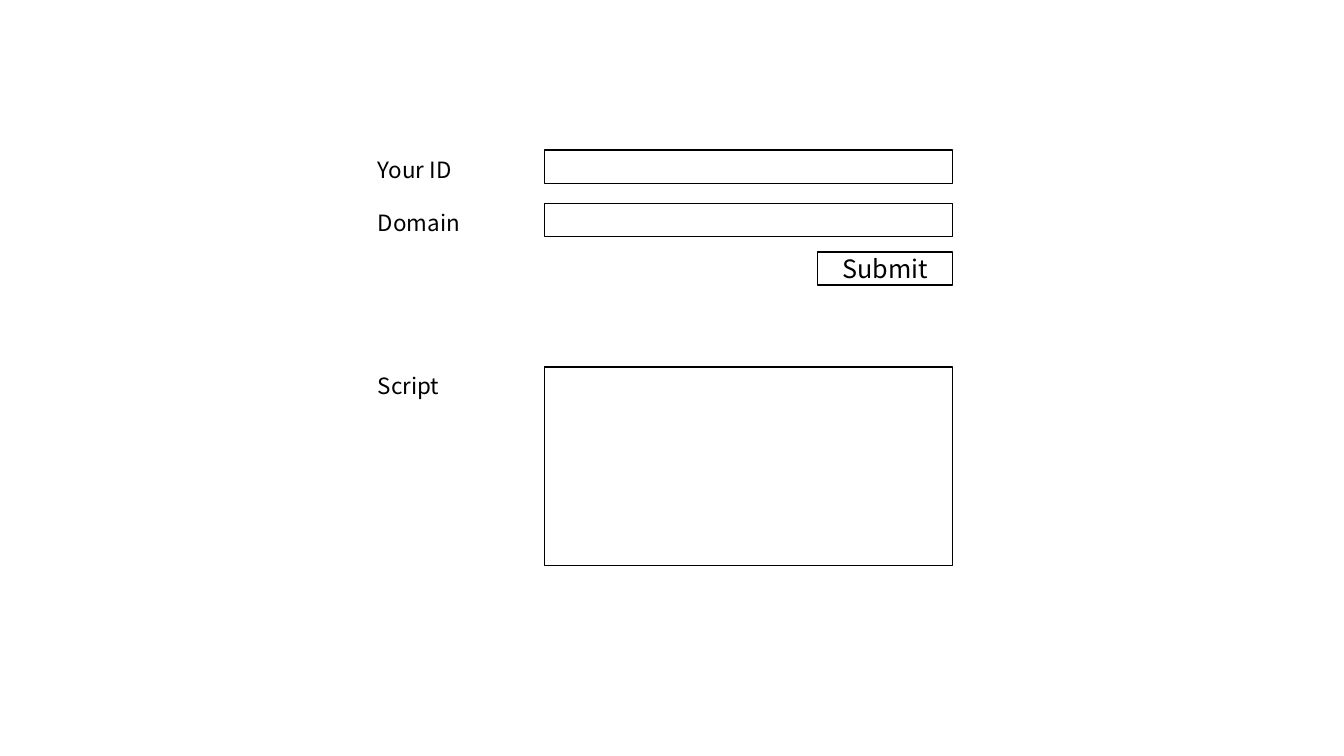
from pptx import Presentation
from pptx.dml.color import RGBColor
from pptx.enum.shapes import MSO_SHAPE
from pptx.enum.text import MSO_ANCHOR, MSO_AUTO_SIZE, PP_ALIGN
from pptx.util import Inches, Pt

BLACK = RGBColor(0, 0, 0)
WHITE = RGBColor(255, 255, 255)
FONT = "Noto Sans CJK JP"
LABEL_WIDTH, LABEL_HEIGHT = 1.61, 0.37
FIELD_OFFSET, FIELD_WIDTH, FIELD_HEIGHT = 1.75, 4.05, 0.33
BUTTON_WIDTH = 1.34


def write_text(frame, text, size=16, align=PP_ALIGN.LEFT, anchor=MSO_ANCHOR.TOP):
    """Put one formatted line of text into a text frame."""
    frame.word_wrap = True
    frame.vertical_anchor = anchor
    paragraph = frame.paragraphs[0]
    paragraph.alignment = align
    run = paragraph.add_run()
    run.text = text
    run.font.name = FONT
    run.font.size = Pt(size)
    run.font.color.rgb = BLACK


def add_outline(slide, left, top, width, height):
    """Add a rectangle with a thin black outline and no fill."""
    outline = slide.shapes.add_shape(
        MSO_SHAPE.RECTANGLE, Inches(left), Inches(top), Inches(width), Inches(height))
    outline.shadow.inherit = False
    outline.fill.background()
    outline.line.color.rgb = BLACK
    outline.line.width = Pt(1)
    return outline


def add_field(slide, left, top, caption, height=FIELD_HEIGHT, label_drop=0.01):
    """Add a caption with its input box to the right."""
    label = slide.shapes.add_textbox(
        Inches(left), Inches(top + label_drop), Inches(LABEL_WIDTH), Inches(LABEL_HEIGHT))
    write_text(label.text_frame, caption)
    label.text_frame.auto_size = MSO_AUTO_SIZE.SHAPE_TO_FIT_TEXT
    add_outline(slide, left + FIELD_OFFSET, top, FIELD_WIDTH, height)


def add_entry_form(slide, left, top):
    """Add the input rows and the right-aligned submit button."""
    for row, caption in enumerate(("Your ID", "Domain")):
        add_field(slide, left, top + row * 0.53, caption)
    button_left = left + FIELD_OFFSET + FIELD_WIDTH - BUTTON_WIDTH
    submit = add_outline(slide, button_left, top + 1.01, BUTTON_WIDTH, FIELD_HEIGHT)
    write_text(submit.text_frame, "Submit", size=18,
               align=PP_ALIGN.CENTER, anchor=MSO_ANCHOR.MIDDLE)


def build_form_slide(presentation):
    """Add the slide with the entry form above the script output."""
    slide = presentation.slides.add_slide(presentation.slide_layouts[6])
    slide.background.fill.solid()
    slide.background.fill.fore_color.rgb = WHITE
    add_entry_form(slide, left=3.65, top=1.49)
    add_field(slide, 3.65, 3.64, "Script", height=1.97, label_drop=0)


presentation = Presentation()
presentation.slide_width = Inches(13.33)
presentation.slide_height = Inches(7.5)
build_form_slide(presentation)
presentation.save("out.pptx")
